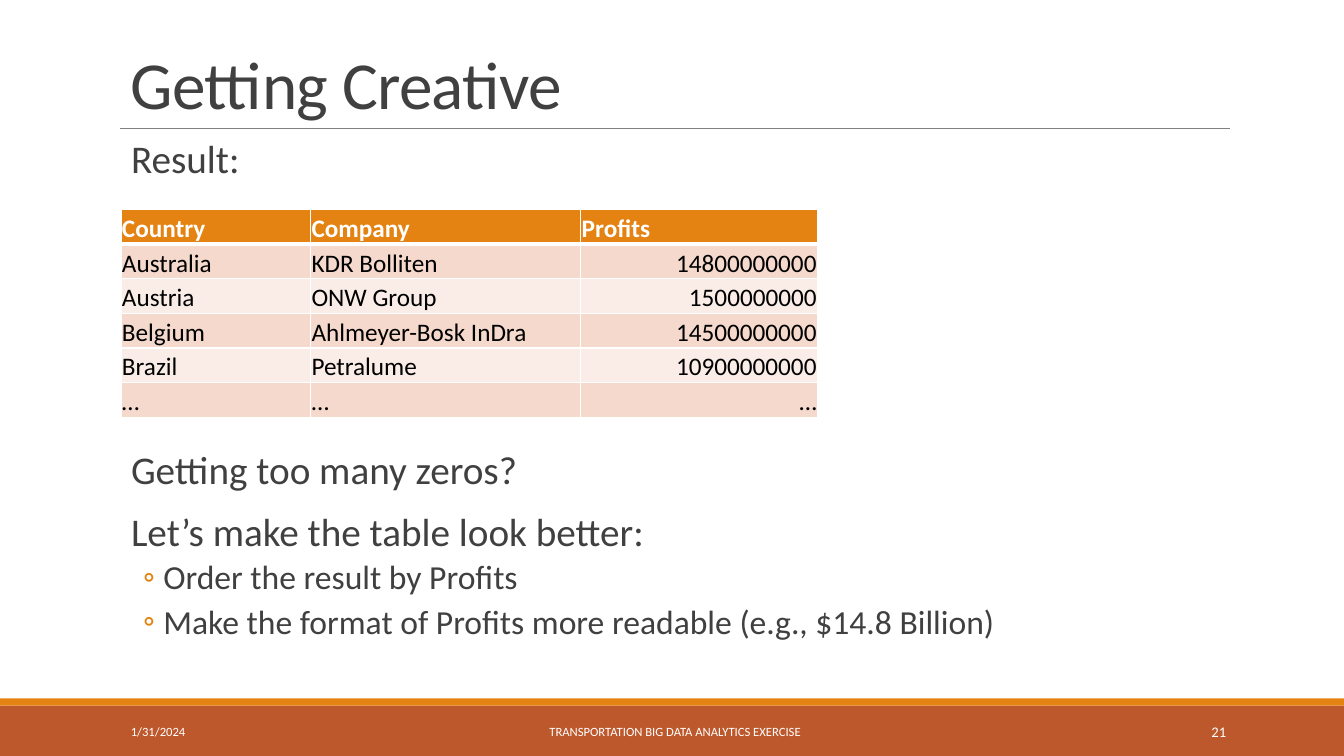
from lxml.etree import SubElement as Sub
from pptx import Presentation
from pptx.dml.color import RGBColor
from pptx.enum.shapes import MSO_CONNECTOR as Conn, MSO_SHAPE as Form
from pptx.enum.text import MSO_ANCHOR as Anchor, PP_ALIGN as Align
from pptx.oxml.ns import qn
from pptx.util import Pt

# Content
TITLE = "Getting Creative"
LEAD = [(0, "Result:")]
NOTES = [
    (0, "Getting too many zeros?"),
    (0, "Let’s make the table look better:"),
    (1, "Order the result by Profits"),
    (1, "Make the format of Profits more readable (e.g., $14.8 Billion)"),
]
ROWS = [
    ("Country", "Company", "Profits"),
    ("Australia", "KDR Bolliten", "14800000000"),
    ("Austria", "ONW Group", "1500000000"),
    ("Belgium", "Ahlmeyer-Bosk InDra", "14500000000"),
    ("Brazil", "Petralume", "10900000000"),
    ("…", "…", "…"),
]
FOOTER = [  # text, left, width, size, alignment
    ("1/31/2024", 120, 270, 9, Align.LEFT),
    ("TRANSPORTATION BIG DATA ANALYTICS EXERCISE", 406, 527, 9, Align.CENTER),
    ("21", 1083, 143, 10.5, Align.RIGHT),
]
BANDS = [(700, 50, "BD582C"), (693, 7, "E48312")]  # top, height, fill
LEVELS = [  # size, indent, hang, space before, space after, bullet
    (28, 10, 0, 12, 2, None),
    (24, 42, 20, 2, 4, "◦"),
]
COLS = (188, 268, 235)
TABLE_H = 206
FONT, DARK, WHITE, ORANGE = "Calibri", "404040", "FFFFFF", "E48312"
STRIPES = ("FAEDE7", "F5D9CC")
WIDE, HIGH = 1333, 750
LEFT, SPAN = 120, 1100


def px(n):
    return n * 9144  # 100 px to the inch


def rgb(code):
    return RGBColor.from_string(code)


def add_run(para, text, size, color, bold=False):
    run = para.add_run()
    run.text = text
    font = run.font
    font.name, font.size, font.bold = FONT, Pt(size), bold
    font.color.rgb = rgb(color)
    return run


def add_box(x, y, w, h, anchor=Anchor.TOP):
    frame = slide.shapes.add_textbox(px(x), px(y), px(w), px(h)).text_frame
    frame.word_wrap = True
    frame.vertical_anchor = anchor
    return frame


def add_list(items, y, h):
    frame = add_box(LEFT, y, SPAN, h)
    frame.margin_left = frame.margin_right = 0
    for i, (level, text) in enumerate(items):
        size, indent, hang, before, after, mark = LEVELS[level]
        para = frame.add_paragraph() if i else frame.paragraphs[0]
        props = para._p.get_or_add_pPr()
        props.set("marL", str(px(indent)))
        props.set("indent", str(-px(hang)))
        if mark:
            tint = Sub(props, qn("a:buClr"))
            Sub(tint, qn("a:srgbClr"), val=ORANGE)
            Sub(props, qn("a:buFont"), typeface=FONT)
            Sub(props, qn("a:buChar"), char=mark)
        para.line_spacing = 0.9
        para.space_before = Pt(before if i else 0)
        para.space_after = Pt(after)
        add_run(para, text, size, DARK)


def edge(cell, side, width):
    line = Sub(cell._tc.get_or_add_tcPr(), qn("a:ln" + side), w=str(Pt(width)))
    fill = Sub(line, qn("a:solidFill"))
    Sub(fill, qn("a:srgbClr"), val=WHITE)


deck = Presentation()
deck.slide_width, deck.slide_height = px(WIDE), px(HIGH)
slide = deck.slides.add_slide(deck.slide_layouts[6])

# Footer bands
for top, high, color in BANDS:
    band = slide.shapes.add_shape(Form.RECTANGLE, 0, px(top), px(WIDE), px(high))
    band.shadow.inherit = False
    band.fill.solid()
    band.fill.fore_color.rgb = rgb(color)
    band.line.fill.background()

# Title and rule
rule = slide.shapes.add_connector(Conn.STRAIGHT, px(119), px(127), px(1220), px(127))
rule.line.color.rgb = rgb("808080")
rule.line.width = Pt(0.5)
Sub(rule._element.spPr, qn("a:effectLst"))
head = add_box(LEFT, 31, SPAN, 96, Anchor.BOTTOM).paragraphs[0]
head.line_spacing = 0.85
add_run(head, TITLE, 48, DARK).font._element.set("spc", "-50")

# Body text above and below the table
add_list(LEAD, 134, 60)
add_list(NOTES, 442, 248)

# Table
grid = slide.shapes.add_table(
    len(ROWS), len(COLS), px(LEFT), px(208), px(sum(COLS)), px(TABLE_H)).table
for col, wide in zip(grid.columns, COLS):
    col.width = px(wide)
for r, row in enumerate(ROWS):
    for c, text in enumerate(row):
        cell = grid.cell(r, c)
        cell.margin_left = cell.margin_right = cell.margin_top = px(1)
        cell.margin_bottom = 0
        cell.vertical_anchor = Anchor.BOTTOM
        for side in "LRTB":
            thick = (r, side) in ((0, "B"), (1, "T"))
            edge(cell, side, 3 if thick else 1)
        cell.fill.solid()
        cell.fill.fore_color.rgb = rgb(STRIPES[r % 2] if r else ORANGE)
        para = cell.text_frame.paragraphs[0]
        para.alignment = Align.RIGHT if r and c == 2 else Align.LEFT
        add_run(para, text, 18, "000000" if r else WHITE, r == 0)

# Footer text
for text, x, wide, size, align in FOOTER:
    para = add_box(x, 706, wide, 40, Anchor.MIDDLE).paragraphs[0]
    para.alignment = align
    add_run(para, text, size, WHITE)

deck.save("out.pptx")
